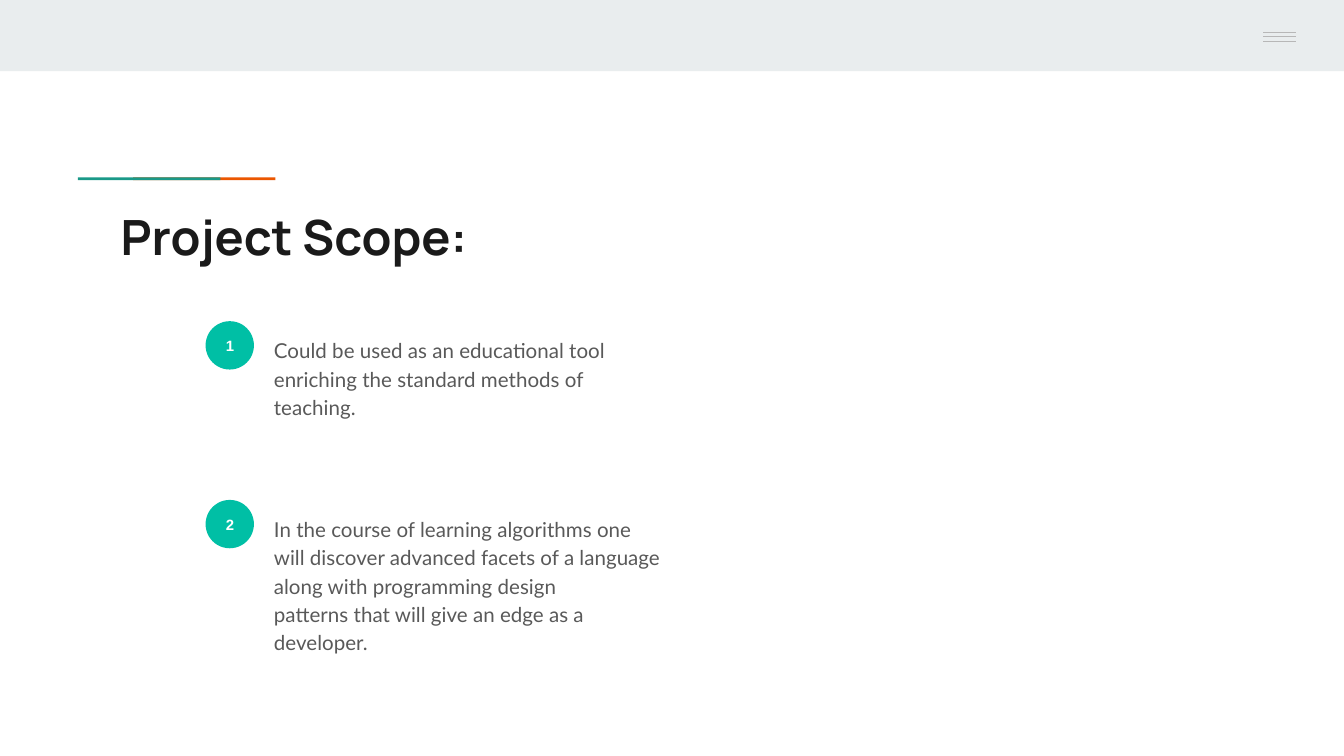
"""Build the project scope slide with its numbered points."""
import dataclasses

import lxml.etree
import pptx
import pptx.dml.color
import pptx.enum.shapes
import pptx.enum.text
import pptx.oxml.ns
import pptx.util
from pptx.util import Inches


@dataclasses.dataclass(frozen=True)
class Theme:
    band: str = "E9EDEE"
    orange: str = "EB5600"
    teal: str = "1A9988"
    badge: str = "00BFA5"
    menu: str = "B7B7B7"
    heading: str = "1A1A1A"
    body: str = "595959"
    white: str = "FFFFFF"
    heading_size: int = 26
    body_size: int = 11
    badge_size: int = 8


THEME = Theme()
SHAPES = pptx.enum.shapes.MSO_SHAPE
NO_BREAK_SPACE = chr(160)
POINTS = (
    "Could be used as an educational tool enriching the standard methods of teaching.",
    "In the course of learning algorithms one will discover advanced facets of a language "
    f"along with programming design patterns{NO_BREAK_SPACE}that will give an edge as a "
    "developer.",
)


def rgb(color):
    return pptx.dml.color.RGBColor.from_string(color)


def write_text(shape, text, *, font, size, color, bold=False, centered=False,
               line_spacing=None, space_after=None):
    frame = shape.text_frame
    frame.word_wrap = True
    frame.margin_left = frame.margin_right = Inches(0.1)
    frame.margin_top = frame.margin_bottom = Inches(0.1)
    anchors = pptx.enum.text.MSO_ANCHOR
    frame.vertical_anchor = anchors.MIDDLE if centered else anchors.TOP
    paragraph = frame.paragraphs[0]
    alignments = pptx.enum.text.PP_ALIGN
    paragraph.alignment = alignments.CENTER if centered else alignments.LEFT
    paragraph.line_spacing = line_spacing
    if space_after is not None:
        paragraph.space_after = pptx.util.Pt(space_after)
    run = paragraph.add_run()
    run.text = text
    run.font.name = font
    run.font.size = pptx.util.Pt(size)
    run.font.bold = bold
    run.font.color.rgb = rgb(color)


def add_filled_shape(slide, kind, left, top, width, height, color):
    shape = slide.shapes.add_shape(
        kind, Inches(left), Inches(top), Inches(width), Inches(height))
    shape.shadow.inherit = False
    shape.fill.solid()
    shape.fill.fore_color.rgb = rgb(color)
    shape.line.fill.background()
    return shape


def add_text_box(slide, left, top, width, height, text, **text_format):
    box = slide.shapes.add_textbox(
        Inches(left), Inches(top), Inches(width), Inches(height))
    write_text(box, text, **text_format)


def add_menu_line(slide, top):
    line = slide.shapes.add_connector(
        pptx.enum.shapes.MSO_CONNECTOR.STRAIGHT,
        Inches(9.4), Inches(top), Inches(9.64), Inches(top))
    line.line.color.rgb = rgb(THEME.menu)
    line.line.width = pptx.util.Pt(0.75)
    lxml.etree.SubElement(line._element.spPr, pptx.oxml.ns.qn("a:effectLst"))


def add_header(slide):
    add_filled_shape(slide, SHAPES.RECTANGLE, 0, 0, 10, 0.53, THEME.band)
    for left, color in ((0.99, THEME.orange), (0.58, THEME.teal)):
        add_filled_shape(slide, SHAPES.RECTANGLE, left, 1.32, 1.06, 0.02, color)
    add_filled_shape(slide, SHAPES.RECTANGLE, 9.06, 0, 0.94, 0.5, THEME.band)
    for top in (0.24, 0.27, 0.31):
        add_menu_line(slide, top)


def add_point(slide, number, text, top):
    badge = add_filled_shape(slide, SHAPES.OVAL, 1.53, top, 0.36, 0.36, THEME.badge)
    write_text(badge, str(number), font="Arial", size=THEME.badge_size,
               color=THEME.white, bold=True, centered=True)
    add_text_box(slide, 1.94, top, 3.1, 1.15, text, font="Lato", size=THEME.body_size,
                 color=THEME.body, line_spacing=1.15, space_after=16)


def main():
    presentation = pptx.Presentation()
    presentation.slide_width = Inches(10)
    presentation.slide_height = Inches(10 * 9 / 16)
    slide = presentation.slides.add_slide(presentation.slide_layouts[6])
    add_header(slide)
    add_text_box(slide, 0.8, 1.44, 8.41, 0.59, "Project Scope:", font="Manrope",
                 size=THEME.heading_size, color=THEME.heading, bold=True)
    for index, text in enumerate(POINTS):
        add_point(slide, index + 1, text, 2.39 + 1.33 * index)
    presentation.save("out.pptx")


if __name__ == "__main__":
    main()
